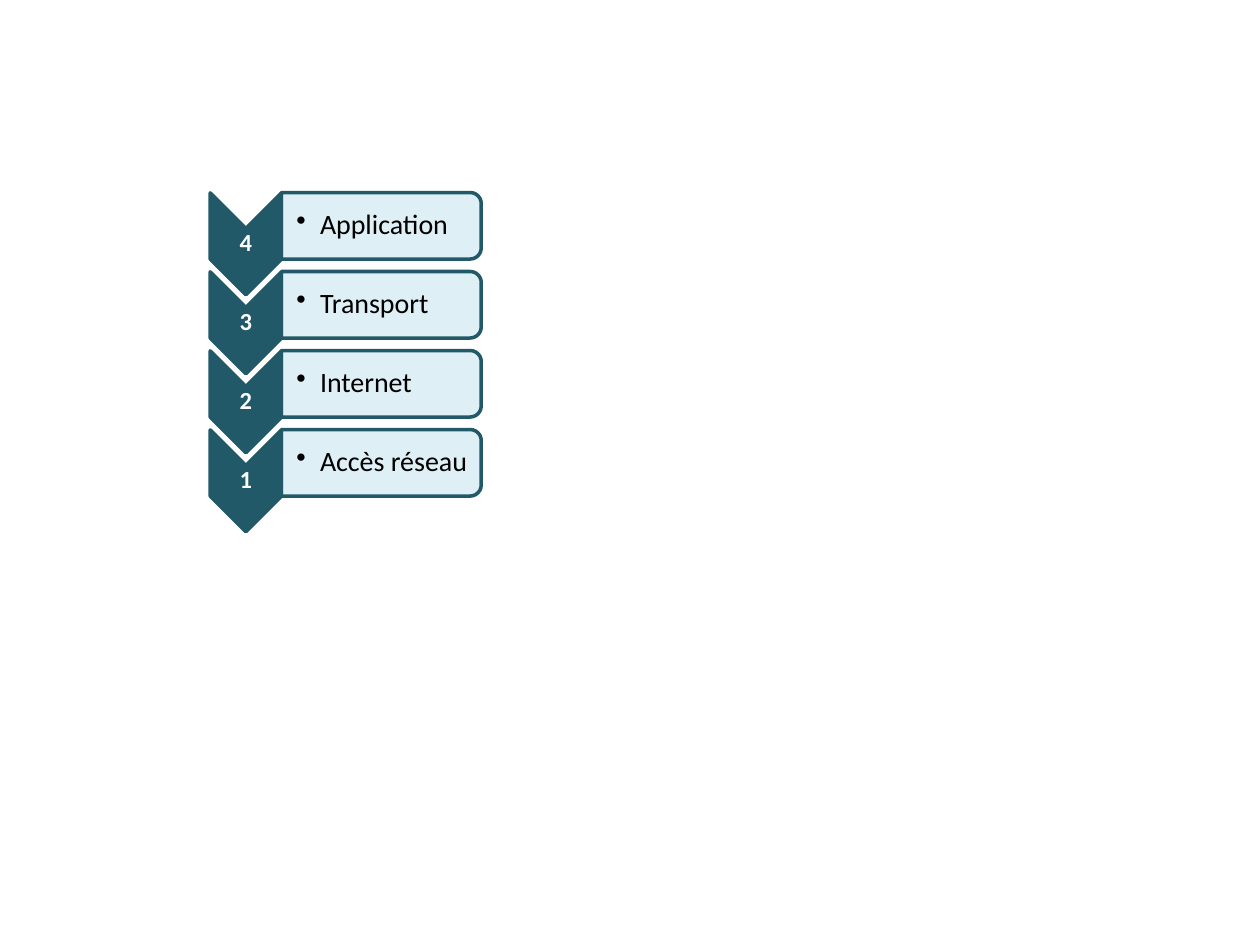
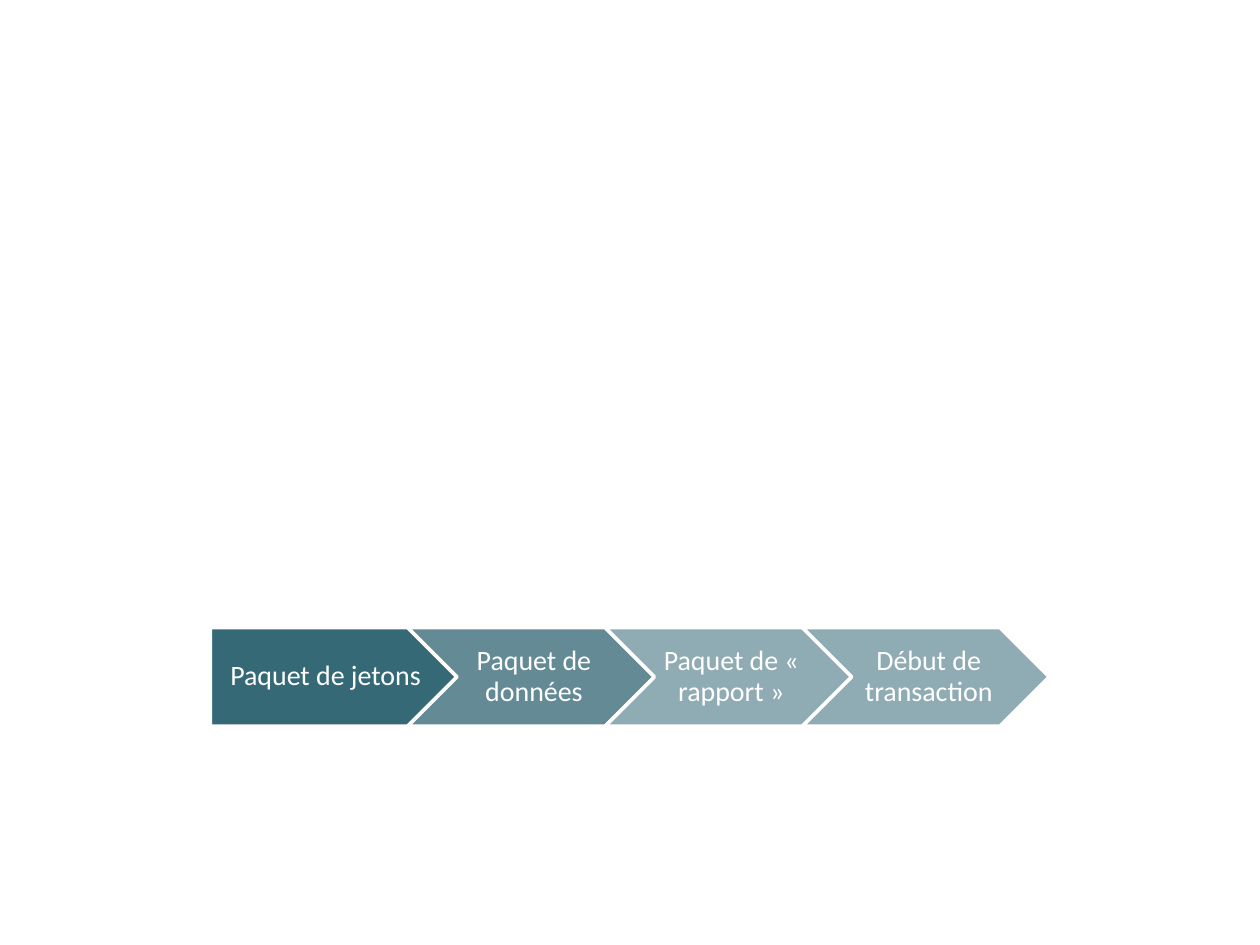
"""Build two slides: the network layer stack and the packet sequence of a transaction."""
from dataclasses import dataclass

from lxml import etree
from pptx import Presentation
from pptx.dml.color import RGBColor
from pptx.enum.shapes import MSO_SHAPE as Shape
from pptx.enum.text import MSO_ANCHOR as Anchor, PP_ALIGN as Align
from pptx.oxml.ns import qn
from pptx.util import Pt


@dataclass(frozen=True)
class Theme:
    font: str = "Calibri"
    teal: RGBColor = RGBColor(0x21, 0x59, 0x68)
    pale: RGBColor = RGBColor(0xDB, 0xEE, 0xF4)
    white: RGBColor = RGBColor(0xFF, 0xFF, 0xFF)
    black: RGBColor = RGBColor(0, 0, 0)
    number_size: int = 14
    label_size: int = 16
    line_width: int = 2


theme = Theme()


def add_block(slide, kind, box, fill, line, opacity=100, rotation=0):
    """Add a filled, outlined shape at box (left, top, width, height)."""
    shape = slide.shapes.add_shape(kind, *map(Pt, box))
    shape.shadow.inherit = False
    shape.rotation = rotation
    shape.fill.solid()
    shape.fill.fore_color.rgb = fill
    shape.line.color.rgb = line
    shape.line.width = Pt(theme.line_width)
    if opacity < 100:
        color = shape.element.spPr.find(qn("a:solidFill"))[0]
        etree.SubElement(color, qn("a:alpha"), val=str(opacity * 1000))


def add_label(slide, text, box, margins, size, color, bold=False, bullet=False):
    """Add a one-paragraph text box, centred or bulleted."""
    frame = slide.shapes.add_textbox(*map(Pt, box)).text_frame
    frame.word_wrap = True
    frame.vertical_anchor = Anchor.MIDDLE
    frame.margin_left, frame.margin_top, frame.margin_right, frame.margin_bottom = map(Pt, margins)
    paragraph = frame.paragraphs[0]
    paragraph.text = text
    paragraph.line_spacing = 0.9
    paragraph.alignment = Align.LEFT if bullet else Align.CENTER
    if bullet:
        properties = paragraph._p.get_or_add_pPr()
        properties.set("marL", str(Pt(13.5)))
        properties.set("indent", str(-Pt(13.5)))
        etree.SubElement(properties, qn("a:buChar"), char="•")
    font = paragraph.runs[0].font
    font.name, font.size, font.bold = theme.font, Pt(size), bold
    font.color.rgb = color


presentation = Presentation()
presentation.slide_width, presentation.slide_height = Pt(720), Pt(540)
blank_layout = presentation.slide_layouts[6]

slide = presentation.slides.add_slide(blank_layout)
layers = ["Application", "Transport", "Internet", "Accès réseau"]
layer_pitch = 45.15
for index, layer in enumerate(layers):
    offset = index * layer_pitch
    add_block(slide, Shape.CHEVRON, (111.4, 118.9 + offset, 58.2, 40.8),
              theme.teal, theme.teal, rotation=90)
    add_label(slide, str(len(layers) - index), (120.1, 130.3 + offset, 40.8, 17.4),
              (0.7, 0.7, 0.7, 0.7), theme.number_size, theme.white, bold=True)
    add_block(slide, Shape.ROUND_2_SAME_RECTANGLE, (198.9, 71.9 + offset, 38, 114.2),
              theme.pale, theme.teal, opacity=90, rotation=90)
    add_label(slide, layer, (160.8, 111.6 + offset, 112.3, 34.4),
              (8.6, 0.7, 0.7, 0.7), theme.label_size, theme.black, bullet=True)

slide = presentation.slides.add_slide(blank_layout)
packets = [("Paquet de jetons", 90), ("Paquet de données", 70),
           ("Paquet de « rapport »", 50), ("Début de transaction", 50)]
row_left, row_top, packet_pitch = 120.2, 358.6, 112.8
packet_width, packet_height = 141, 56.4
point = packet_height / 2
for index, (packet, opacity) in enumerate(packets):
    left = row_left + index * packet_pitch
    first = index == 0
    add_block(slide, Shape.PENTAGON if first else Shape.CHEVRON,
              (left, row_top, packet_width, packet_height), theme.teal, theme.white, opacity)
    label_left = left if first else left + point
    label_width = packet_width - (point / 2 if first else 2 * point)
    add_label(slide, packet, (label_left, row_top, label_width, packet_height),
              (6.4 if first else 4.8, 3.2, 1.6, 3.2), theme.label_size, theme.white)

presentation.save("out.pptx")
